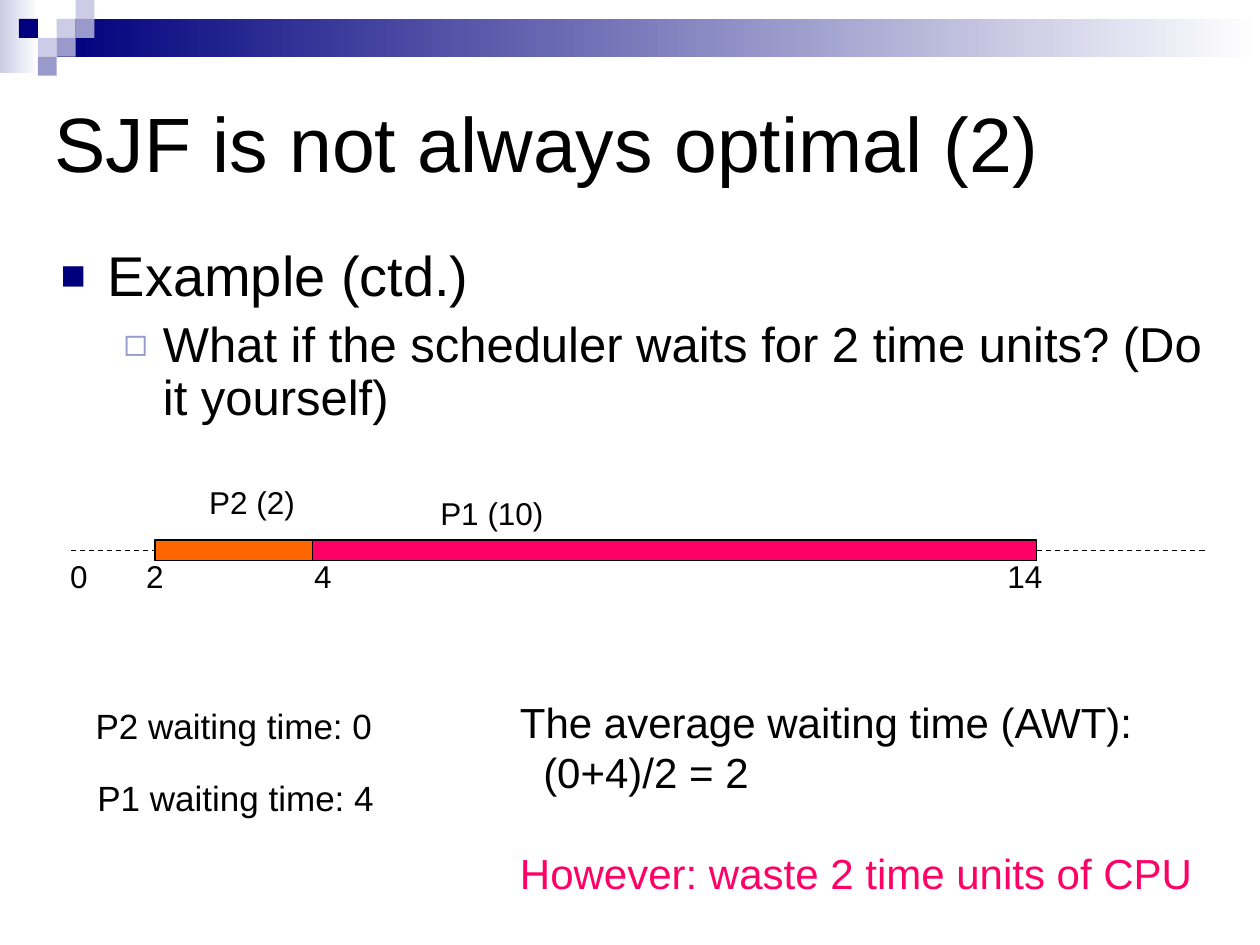
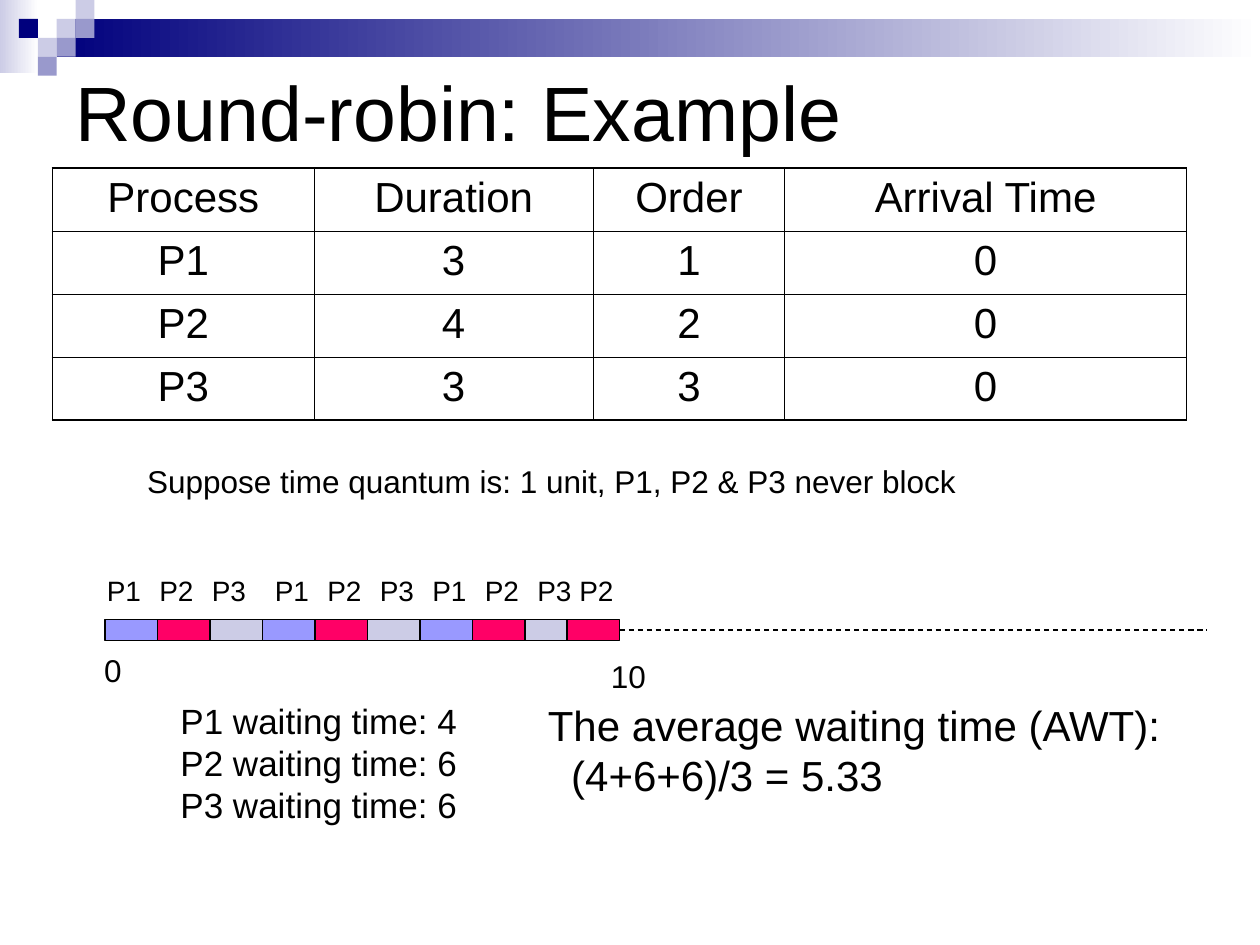
import dataclasses
import typing

import lxml.etree
import pptx
import pptx.dml.color
import pptx.enum.dml
import pptx.enum.shapes
import pptx.enum.text
import pptx.oxml.ns
import pptx.util

Pt = pptx.util.Pt
RGBColor = pptx.dml.color.RGBColor
Align = pptx.enum.text.PP_ALIGN
Anchor = pptx.enum.text.MSO_ANCHOR
qn = pptx.oxml.ns.qn

# Shared look
FONT = "Arial"
BLACK = RGBColor(0x00, 0x00, 0x00)
WHITE = RGBColor(0xFF, 0xFF, 0xFF)
NAVY = RGBColor(0x00, 0x00, 0x7D)
LAVENDER = RGBColor(0xCC, 0xCC, 0xE6)
VIOLET = RGBColor(0x99, 0x99, 0xCC)
PERIWINKLE = RGBColor(0x99, 0x99, 0xFF)
PINK = RGBColor(0xFF, 0x00, 0x66)
ORANGE = RGBColor(0xFF, 0x66, 0x00)
TILE = 10.8
BAR_HEIGHT = 12


@dataclasses.dataclass(frozen=True)
class Box:
    left: float
    top: float
    width: float
    height: float

    def lengths(self) -> list[int]:
        return [Pt(value) for value in (self.left, self.top, self.width, self.height)]


@dataclasses.dataclass(frozen=True)
class Bullet:
    symbol: str
    color: RGBColor
    percent: int


@dataclasses.dataclass(frozen=True)
class Line:
    text: str
    size: float = 18
    color: RGBColor = BLACK
    align: Align = Align.LEFT
    before: float = 0
    spacing: float = 1.0
    margin: float = 0
    hanging: float = 0
    level: int = 0
    bullet: typing.Optional[Bullet] = None


class Tile(typing.NamedTuple):
    column: int
    row: int
    color: RGBColor


class Label(typing.NamedTuple):
    text: str
    box: Box
    size: float = 18
    wrap: bool = False


TILES = [
    Tile(3, 1, LAVENDER), Tile(4, 0, LAVENDER), Tile(4, 1, VIOLET),
    Tile(2, 2, LAVENDER), Tile(1, 1, NAVY), Tile(3, 2, VIOLET), Tile(2, 3, VIOLET),
]


def add_xml(parent, tag: str, **attributes: str):
    return lxml.etree.SubElement(parent, qn(tag), attributes)


def write_paragraph(paragraph, text: str, *, size: float = 18, color: RGBColor = BLACK,
                    align: Align = Align.LEFT, before: float = 0, spacing: float = 1.0,
                    margin: float = 0, hanging: float = 0, level: int = 0,
                    bullet: typing.Optional[Bullet] = None) -> None:
    paragraph.alignment = align
    paragraph.space_before = Pt(before)
    paragraph.line_spacing = spacing
    paragraph.level = level
    properties = paragraph._p.get_or_add_pPr()
    properties.set("marL", str(Pt(margin)))
    properties.set("indent", str(Pt(-hanging)))
    if bullet:
        add_xml(add_xml(properties, "a:buClr"), "a:srgbClr", val=str(bullet.color))
        add_xml(properties, "a:buSzPct", val=str(bullet.percent * 1000))
        add_xml(properties, "a:buFont", typeface=FONT)
        add_xml(properties, "a:buChar", char=bullet.symbol)
    run = paragraph.add_run()
    run.text = text
    run.font.name = FONT
    run.font.size = Pt(size)
    run.font.color.rgb = color


def add_text(slide, box: Box, lines: list[Line], wrap: bool = False,
             anchor: Anchor = Anchor.TOP) -> None:
    frame = slide.shapes.add_textbox(*box.lengths()).text_frame
    frame.word_wrap = wrap
    frame.vertical_anchor = anchor
    for number, line in enumerate(lines):
        paragraph = frame.add_paragraph() if number else frame.paragraphs[0]
        formats = {field.name: getattr(line, field.name) for field in dataclasses.fields(line)}
        write_paragraph(paragraph, **formats)


def add_labels(slide, labels: list[Label]) -> None:
    for label in labels:
        add_text(slide, label.box, [Line(label.text, label.size)], label.wrap)


def add_rectangle(slide, box: Box, color: RGBColor, *, fade: bool = False,
                  outlined: bool = False) -> None:
    shape = slide.shapes.add_shape(pptx.enum.shapes.MSO_SHAPE.RECTANGLE, *box.lengths())
    shape.shadow.inherit = False
    if fade:
        shape.fill.gradient()
        shape.fill.gradient_angle = 0
        for stop, stop_color, position in zip(shape.fill.gradient_stops, (color, WHITE), (0, 1)):
            stop.color.rgb = stop_color
            stop.position = position
    else:
        shape.fill.solid()
        shape.fill.fore_color.rgb = color
    if outlined:
        shape.line.color.rgb = BLACK
        shape.line.width = Pt(0.75)
    else:
        shape.line.fill.background()


def add_line(slide, start: tuple[float, float], end: tuple[float, float],
             dashed: bool = False) -> None:
    connector = slide.shapes.add_connector(
        pptx.enum.shapes.MSO_CONNECTOR.STRAIGHT, *[Pt(value) for value in start + end])
    connector.line.color.rgb = BLACK
    connector.line.width = Pt(0.75)
    if dashed:
        connector.line.dash_style = pptx.enum.dml.MSO_LINE.DASH
    add_xml(connector._element.spPr, "a:effectLst")


def add_slide(presentation, title: str, title_box: Box):
    slide = presentation.slides.add_slide(presentation.slide_layouts[6])
    # Fading bands and the checker of tiles
    add_rectangle(slide, Box(0, 0, 22, 42), LAVENDER, fade=True)
    add_rectangle(slide, Box(3 * TILE, TILE, 720 - 3 * TILE, 2 * TILE), NAVY, fade=True)
    for tile in TILES:
        add_rectangle(slide, Box(tile.column * TILE, tile.row * TILE, TILE, TILE), tile.color)
    add_text(slide, title_box, [Line(title, 44)], wrap=True, anchor=Anchor.MIDDLE)
    return slide


def average_lines(formula: str) -> list[Line]:
    return [Line("The average waiting time (AWT):", 24), Line(formula, 24, margin=13.34)]


def set_borders(cell, widths: dict[str, float]) -> None:
    properties = cell._tc.get_or_add_tcPr()
    for position, (side, width) in enumerate(widths.items()):
        border = lxml.etree.Element(qn(f"a:{side}"), w=str(Pt(width)))
        add_xml(add_xml(border, "a:solidFill"), "a:srgbClr", val=str(BLACK))
        properties.insert(position, border)


def add_process_table(slide, box: Box, widths: list[float], rows: list[list[str]]) -> None:
    table = slide.shapes.add_table(len(rows), len(widths), *box.lengths()).table
    table.first_row = table.horz_banding = False
    for column, width in zip(table.columns, widths):
        column.width = Pt(width)
    last_row, last_column = len(rows) - 1, len(widths) - 1
    for row, texts in enumerate(rows):
        for column, text in enumerate(texts):
            cell = table.cell(row, column)
            cell.fill.background()
            write_paragraph(cell.text_frame.paragraphs[0], text, size=24,
                            align=Align.CENTER, before=6)
            outer = {"lnL": column == 0, "lnR": column == last_column,
                     "lnT": row == 0, "lnB": row == last_row}
            set_borders(cell, {side: 1.08 if edge else 0.45 for side, edge in outer.items()})


def build_sjf_slide(presentation) -> None:
    slide = add_slide(presentation, "SJF is not always optimal (2)", Box(24, 36, 684, 90))
    add_text(slide, Box(27.5, 138, 680, 144), [
        Line("Example (ctd.)", 32, before=8, spacing=0.9, margin=27, hanging=27,
             bullet=Bullet("■", NAVY, 75)),
        Line("What if the scheduler waits for 2 time units? (Do it yourself)", 28,
             before=7, spacing=0.9, margin=58.5, hanging=22.5, level=1,
             bullet=Bullet("◻", VIOLET, 80)),
    ], wrap=True)

    # Timeline
    axis, start, switch = 314.5, 88.5, 178.5
    bar_top = axis - BAR_HEIGHT / 2
    add_line(slide, (40.5, axis), (688.5, axis), dashed=True)
    add_rectangle(slide, Box(switch, bar_top, 414, BAR_HEIGHT), PINK, outlined=True)
    add_rectangle(slide, Box(start, bar_top, switch - start, BAR_HEIGHT), ORANGE, outlined=True)
    add_line(slide, (start, bar_top), (start, bar_top + BAR_HEIGHT))
    add_labels(slide, [
        Label("0", Box(33, axis, 24.5, 29)),
        Label("2", Box(76.5, axis, 150, 29), wrap=True),
        Label("4", Box(172.5, axis, 24.5, 29)),
        Label("14", Box(568.5, axis, 34.5, 29)),
        Label("P1 (10)", Box(244.5, 278.5, 73.5, 29)),
        Label("P2 (2)", Box(112.5, 272.5, 63.5, 29)),
        # Waiting times
        Label("P2 waiting time: 0", Box(47.5, 399, 178, 31.5), 20, wrap=True),
        Label("P1 waiting time: 4", Box(48.5, 440, 178, 31.5), 20, wrap=True),
    ])
    add_text(slide, Box(290, 394.5, 406, 122.5), average_lines("(0+4)/2 = 2") + [
        Line("However: waste 2 time units of CPU", 24, PINK, before=28.5)], wrap=True)


def build_round_robin_slide(presentation) -> None:
    slide = add_slide(presentation, "Round-robin: Example", Box(36, 36, 648, 54))
    add_process_table(slide, Box(30, 96, 648, 144), [149.5, 159.5, 109.5, 229.5], [
        ["Process", "Duration", "Order", "Arrival Time"],
        ["P1", "3", "1", "0"],
        ["P2", "4", "2", "0"],
        ["P3", "3", "3", "0"],
    ])

    # Timeline: one bar per quantum, the last one overlapping its neighbour
    colors = {"P1": PERIWINKLE, "P2": PINK, "P3": LAVENDER}
    quanta = ["P1", "P2", "P3"] * 3 + ["P2"]
    axis, start, step = 360, 60, 30
    add_line(slide, (start, axis), (690, axis), dashed=True)
    for number, process in enumerate(quanta):
        left = start + number * step - (6 if number == len(quanta) - 1 else 0)
        label_left = left - (6 if number < 3 else 0)
        add_rectangle(slide, Box(left, axis - BAR_HEIGHT / 2, step, BAR_HEIGHT),
                      colors[process], outlined=True)
        add_labels(slide, [Label(process, Box(label_left, 324, 34, 26.5), 16)])
    add_labels(slide, [
        Label("0", Box(52.5, 368.5, 24.5, 29)),
        Label("10", Box(342, 372, 34.5, 29)),
        Label("Suppose time quantum is: 1 unit, P1, P2 & P3 never block",
              Box(77, 260.5, 482, 29), wrap=True),
    ])

    # Waiting times
    waits = {"P1": 4, "P2": 6, "P3": 6}
    add_text(slide, Box(96, 396, 178, 79),
             [Line(f"{process} waiting time: {wait}", 20) for process, wait in waits.items()],
             wrap=True)
    add_text(slide, Box(306, 396, 371.5, 65), average_lines("(4+6+6)/3 = 5.33"), wrap=True)


def main() -> None:
    presentation = pptx.Presentation()
    presentation.slide_width = Pt(720)
    presentation.slide_height = Pt(540)
    build_sjf_slide(presentation)
    build_round_robin_slide(presentation)
    presentation.save("out.pptx")


if __name__ == "__main__":
    main()
